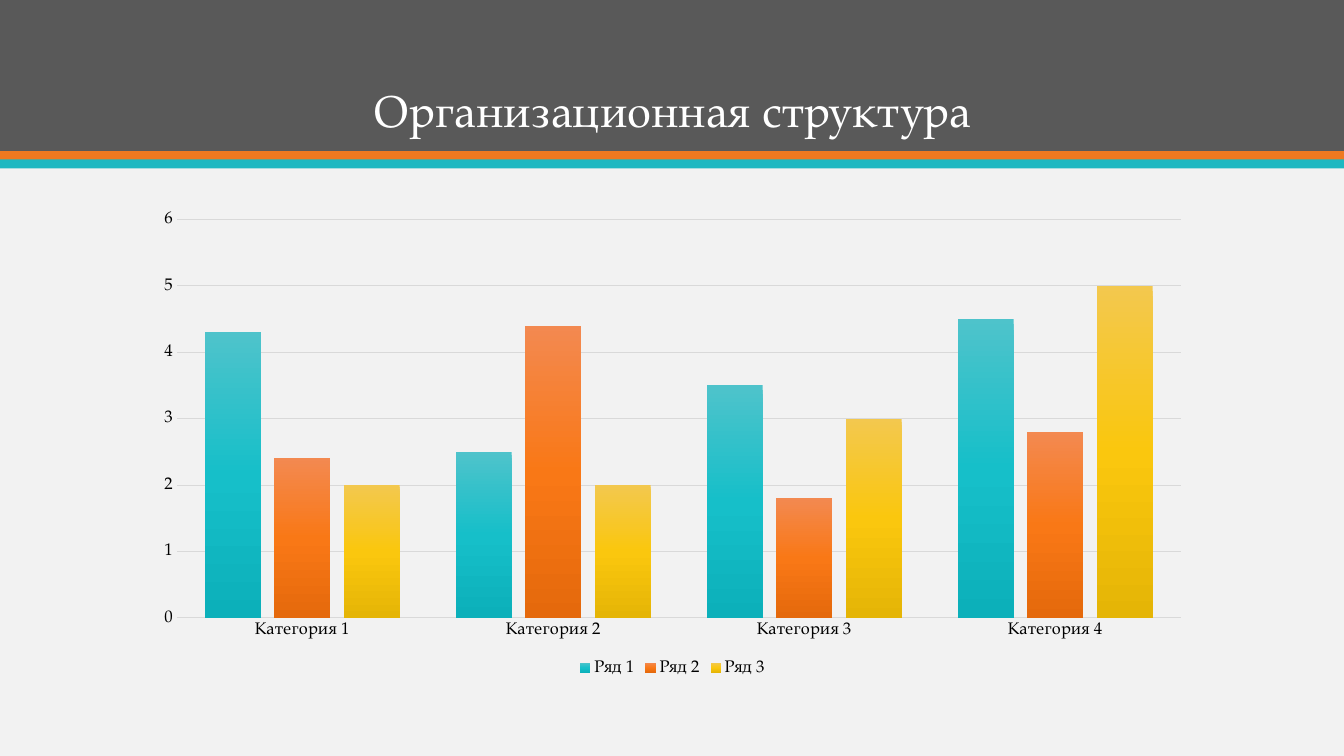
from copy import deepcopy

from pptx import Presentation
from pptx.chart.data import CategoryChartData
from pptx.dml.color import RGBColor
from pptx.enum import chart as ch, shapes, text
from pptx.oxml.ns import qn
from pptx.util import Inches, Pt

FONT = "TeX Gyre Pagella"
PAPER = RGBColor(0xF2, 0xF2, 0xF2)
GREY = RGBColor(0x59, 0x59, 0x59)
ORANGE = RGBColor(0xEF, 0x79, 0x20)
TEAL = RGBColor(0x1E, 0xB8, 0xC1)
WHITE = RGBColor(0xFF, 0xFF, 0xFF)
BLACK = RGBColor(0, 0, 0)
RULE = RGBColor(0xD9, 0xD9, 0xD9)

SLIDE_WIDTH, SLIDE_HEIGHT = 13.33, 7.5
LEFT, WIDTH = 1.42, 10.5
HEADING = "Организационная структура"
BANDS = [(0, 1.5, GREY), (1.5, 0.09, ORANGE), (1.58, 0.09, TEAL)]
CATEGORIES = [f"Категория {number}" for number in range(1, 5)]
SERIES = [
    ("Ряд 1", (4.3, 2.5, 3.5, 4.5), ("4EC3CB", "16BFC9", "0CB0BA")),
    ("Ряд 2", (2.4, 4.4, 1.8, 2.8), ("F38950", "F97816", "E5690C")),
    ("Ряд 3", (2, 2, 3, 5), ("F3C84E", "FAC70E", "E5B506")),
]


def set_font(font, size, color):
    font.name = FONT
    font.size = Pt(size)
    font.color.rgb = color


def set_rule(line):
    line.color.rgb = RULE
    line.width = Pt(0.75)


def shade(series, colors):
    fill = series.format.fill
    fill.gradient()
    fill.gradient_angle = 270
    stop_list = series._element.find(".//" + qn("a:gsLst"))
    stop_list.append(deepcopy(stop_list[-1]))
    for index, (stop, color) in enumerate(zip(fill.gradient_stops, colors)):
        stop.position = index / (len(colors) - 1)
        stop.color.rgb = RGBColor.from_string(color)


def add_header(slide):
    for top, height, color in BANDS:
        band = slide.shapes.add_shape(
            shapes.MSO_SHAPE.RECTANGLE,
            0, Inches(top), Inches(SLIDE_WIDTH), Inches(height))
        band.shadow.inherit = False
        band.fill.solid()
        band.fill.fore_color.rgb = color
        band.line.fill.background()

    title = slide.shapes.title
    slide.shapes._spTree.append(title._element)
    title.left, title.top = Inches(LEFT), Inches(0.28)
    title.width, title.height = Inches(WIDTH), Inches(1.13)
    frame = title.text_frame
    frame.text = HEADING
    frame.word_wrap = True
    frame.auto_size = text.MSO_AUTO_SIZE.NONE
    frame.vertical_anchor = text.MSO_ANCHOR.BOTTOM
    heading = frame.paragraphs[0]
    heading.alignment = text.PP_ALIGN.CENTER
    heading.line_spacing = 0.9
    set_font(heading.runs[0].font, 32, WHITE)


def add_columns(slide):
    data = CategoryChartData()
    data.categories = CATEGORIES
    for name, values, _ in SERIES:
        data.add_series(name, values)
    chart = slide.shapes.add_chart(
        ch.XL_CHART_TYPE.COLUMN_CLUSTERED,
        Inches(LEFT), Inches(2), Inches(WIDTH), Inches(4.75), data).chart
    set_font(chart.font, 10, GREY)
    chart.has_title = False

    plot = chart.plots[0]
    plot.vary_by_categories = False
    plot.gap_width = 100
    plot.overlap = -24
    for series, (_, _, colors) in zip(plot.series, SERIES):
        shade(series, colors)

    for axis in (chart.category_axis, chart.value_axis):
        axis.major_tick_mark = ch.XL_TICK_MARK.NONE
        axis.minor_tick_mark = ch.XL_TICK_MARK.NONE
        set_font(axis.tick_labels.font, 12, BLACK)
    set_rule(chart.category_axis.format.line)
    scale = chart.value_axis
    scale.minimum_scale, scale.maximum_scale, scale.major_unit = 0, 6, 1
    scale.format.line.fill.background()
    set_rule(scale.major_gridlines.format.line)

    chart.has_legend = True
    chart.legend.position = ch.XL_LEGEND_POSITION.BOTTOM
    chart.legend.include_in_layout = False
    set_font(chart.legend.font, 12, BLACK)


def main():
    deck = Presentation()
    deck.slide_width = Inches(SLIDE_WIDTH)
    deck.slide_height = Inches(SLIDE_HEIGHT)
    slide = deck.slides.add_slide(deck.slide_layouts[5])
    slide.background.fill.solid()
    slide.background.fill.fore_color.rgb = PAPER
    add_header(slide)
    add_columns(slide)
    deck.save("out.pptx")


if __name__ == "__main__":
    main()
